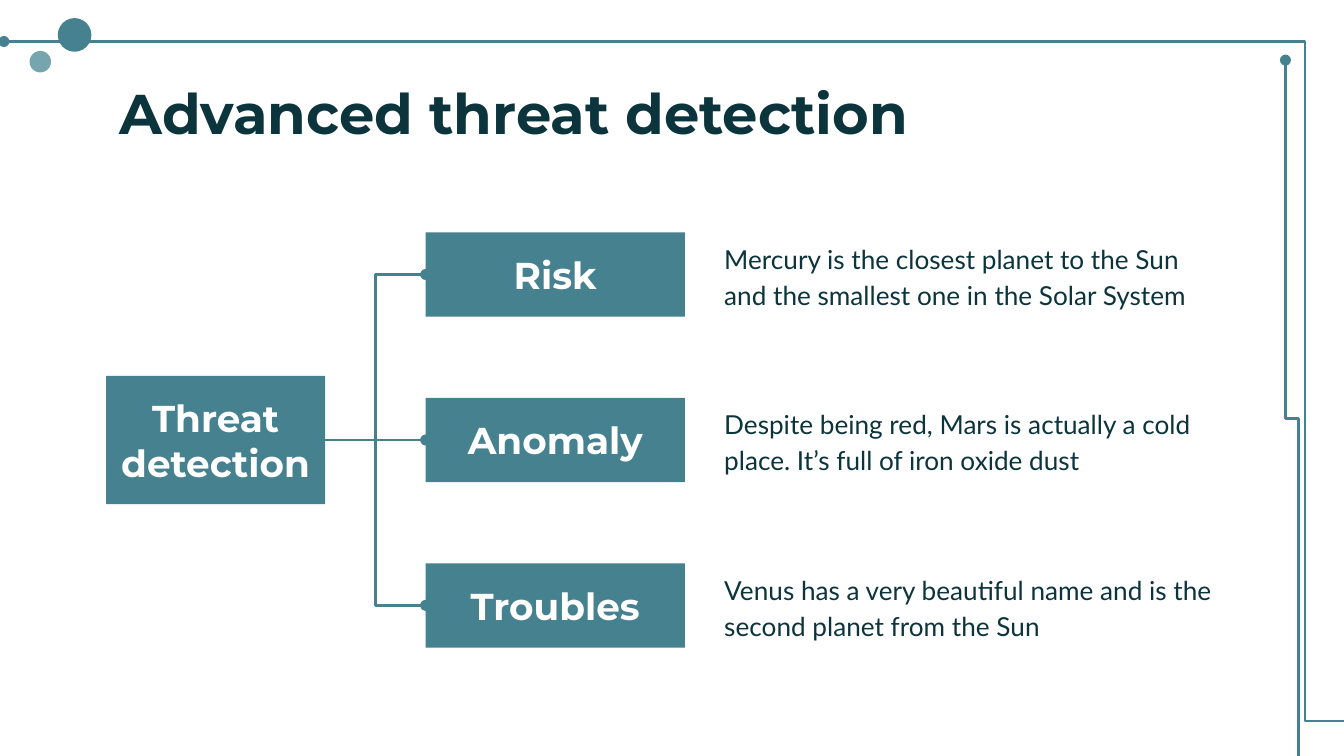
from dataclasses import dataclass

from lxml.etree import SubElement
from pptx import Presentation
from pptx.dml.color import RGBColor
from pptx.enum.shapes import MSO_CONNECTOR as Connector, MSO_SHAPE as Shape
from pptx.enum.text import MSO_ANCHOR as Anchor, MSO_AUTO_SIZE as AutoSize, PP_ALIGN as Align
from pptx.oxml.ns import qn
from pptx.util import Inches, Pt


@dataclass(frozen=True)
class Theme:
    ink: str = "0C343D"
    teal: str = "45818E"
    mist: str = "76A5AF"
    white: str = "FFFFFF"
    heading_font: str = "Montserrat"
    body_font: str = "Lato"
    title_size: int = 30
    label_size: int = 20
    body_size: int = 14
    line_width: float = 1.5


THEME = Theme()
WIDTH = Inches(10)
HEIGHT = WIDTH * 9 // 16

ROOT_LEFT, ROOT_WIDTH, ROOT_HEIGHT = 7.9, 16.3, 17
BRANCH_LEFT, BRANCH_WIDTH = 31.67, 19.3
NOTE_LEFT, NOTE_WIDTH = 52.9, 39.2
FIRST_ROW, ROW_STEP, ROW_HEIGHT = 30.75, 21.88, 11.15

BRANCHES = [
    ("Risk", "Mercury is the closest planet to the Sun and the smallest one in the Solar System"),
    ("Anomaly", "Despite being red, Mars is actually a cold place. It’s full of iron oxide dust"),
    ("Troubles", "Venus has a very beautiful name and is the second planet from the Sun"),
]


def across(percent):
    return round(WIDTH * percent / 100)


def down(percent):
    return round(HEIGHT * percent / 100)


def area(left, top, width, height):
    return across(left), down(top), across(width), down(height)


def write(box, text, font, size, color, bold=False, align=Align.LEFT, anchor=Anchor.MIDDLE, spacing=1.0):
    frame = box.text_frame
    frame.word_wrap = True
    frame.auto_size = AutoSize.NONE
    frame.vertical_anchor = anchor
    frame.margin_left = frame.margin_right = Inches(0.1)
    frame.margin_top = frame.margin_bottom = Inches(0.1)
    para = frame.paragraphs[0]
    para.alignment = align
    para.line_spacing = spacing
    span = para.add_run()
    span.text = text
    span.font.name = font
    span.font.size = Pt(size)
    span.font.bold = bold
    span.font.color.rgb = RGBColor.from_string(color)


def add_title(page, text):
    title = page.shapes.title
    title.left, title.top, title.width, title.height = area(7.9, 8.65, 84.3, 11.2)
    write(title, text, THEME.heading_font, THEME.title_size, THEME.ink, bold=True, anchor=Anchor.TOP)


def add_solid(page, kind, left, top, width, height, color):
    solid = page.shapes.add_shape(kind, left, top, width, height)
    solid.shadow.inherit = False
    solid.fill.solid()
    solid.fill.fore_color.rgb = RGBColor.from_string(color)
    solid.line.fill.background()
    return solid


def add_dot(page, left, top, diameter, color):
    size = across(diameter)
    add_solid(page, Shape.OVAL, across(left), down(top), size, size, color)


def add_label(page, text, left, top, width, height):
    box = add_solid(page, Shape.RECTANGLE, *area(left, top, width, height), THEME.teal)
    write(box, text, THEME.heading_font, THEME.label_size, THEME.white, bold=True, align=Align.CENTER)


def add_note(page, text, top):
    box = page.shapes.add_textbox(*area(NOTE_LEFT, top, NOTE_WIDTH, ROW_HEIGHT))
    write(box, text, THEME.body_font, THEME.body_size, THEME.ink, spacing=1.15)


def add_elbow(page, start, end, bend=50, upright=False):
    x1, y1, x2, y2 = across(start[0]), down(start[1]), across(end[0]), down(end[1])
    if upright:
        mid_x, mid_y = (x1 + x2) // 2, (y1 + y2) // 2
        x1, y1, x2, y2 = mid_x + y1 - mid_y, mid_y - x1 + mid_x, mid_x + y2 - mid_y, mid_y - x2 + mid_x
    elbow = page.shapes.add_connector(Connector.ELBOW, x1, y1, x2, y2)
    elbow.line.color.rgb = RGBColor.from_string(THEME.teal)
    elbow.line.width = Pt(THEME.line_width)
    properties = elbow._element.spPr
    if upright:
        properties.find(qn("a:xfrm")).set("rot", "5400000")
    guides = properties.find(qn("a:prstGeom")).find(qn("a:avLst"))
    SubElement(guides, qn("a:gd"), name="adj1", fmla=f"val {round(bend * 1000)}")
    SubElement(properties.find(qn("a:ln")), qn("a:tailEnd"), type="oval")
    SubElement(properties, qn("a:effectLst"))


def add_circuit(page):
    add_dot(page, 2.2, 6.75, 1.6, THEME.mist)
    add_dot(page, 4.3, 2.4, 2.5, THEME.teal)
    add_elbow(page, (100, 95.4), (0.3, 5.5), bend=2.9)
    add_elbow(page, (96.65, 100), (95.65, 7.95), bend=48.5, upright=True)


def add_tree(page, root, branches):
    middle = FIRST_ROW + ROW_STEP * (len(branches) - 1) / 2 + ROW_HEIGHT / 2
    add_label(page, root, ROOT_LEFT, middle - ROOT_HEIGHT / 2, ROOT_WIDTH, ROOT_HEIGHT)
    for row, (label, note) in enumerate(branches):
        top = FIRST_ROW + row * ROW_STEP
        add_elbow(page, (ROOT_LEFT + ROOT_WIDTH, middle), (BRANCH_LEFT, top + ROW_HEIGHT / 2))
        add_label(page, label, BRANCH_LEFT, top, BRANCH_WIDTH, ROW_HEIGHT)
        add_note(page, note, top)


def main():
    deck = Presentation()
    deck.slide_width, deck.slide_height = WIDTH, HEIGHT
    page = deck.slides.add_slide(deck.slide_layouts.get_by_name("Title Only"))
    add_circuit(page)
    add_title(page, "Advanced threat detection")
    add_tree(page, "Threat detection", BRANCHES)
    deck.save("out.pptx")


if __name__ == "__main__":
    main()
